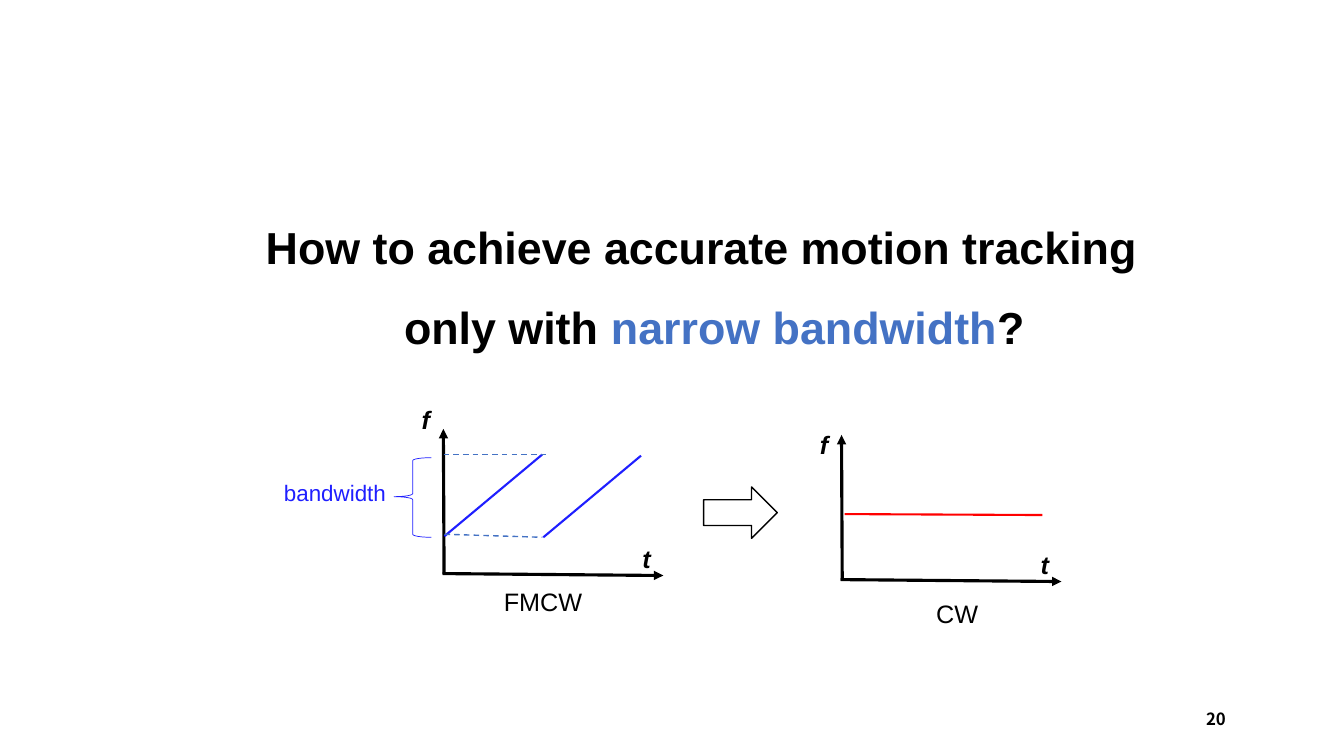
from lxml import etree
from pptx import Presentation
from pptx.dml.color import RGBColor
from pptx.enum.dml import MSO_LINE
from pptx.enum.shapes import MSO_CONNECTOR, MSO_SHAPE
from pptx.enum.text import PP_ALIGN
from pptx.oxml.ns import qn
from pptx.util import Pt

BLACK, BLUE, ACCENT, RED = "000000", "1F1FFF", "4472C4", "FF0000"

prs = Presentation()
prs.slide_width, prs.slide_height = Pt(960), Pt(540)
s = prs.slides.add_slide(prs.slide_layouts[6])
rgb = RGBColor.from_string


def add_text(paragraphs, x, y, w, h, size=18, font="Arial", bold=False,
             italic=False, align=PP_ALIGN.LEFT, spacing=1.0):
    """Add a text box; each paragraph is a list of (text, colour) runs."""
    tf = s.shapes.add_textbox(Pt(x), Pt(y), Pt(w), Pt(h)).text_frame
    tf.word_wrap = True
    for i, runs in enumerate(paragraphs):
        p = tf.add_paragraph() if i else tf.paragraphs[0]
        p.alignment, p.line_spacing = align, spacing
        for text, color in runs:
            r = p.add_run()
            r.text = text
            r.font.size, r.font.name = Pt(size), font
            r.font.bold, r.font.italic = bold, italic
            r.font.color.rgb = rgb(color)


def add_line(x1, y1, x2, y2, color, width, dashed=False, arrow=False):
    c = s.shapes.add_connector(MSO_CONNECTOR.STRAIGHT, Pt(x1), Pt(y1), Pt(x2), Pt(y2))
    c.line.color.rgb, c.line.width = rgb(color), Pt(width)
    if dashed:
        c.line.dash_style = MSO_LINE.DASH
    if arrow:
        etree.SubElement(c.line._get_or_add_ln(), qn("a:tailEnd"), type="triangle")
    etree.SubElement(c._element.spPr, qn("a:effectLst"))


add_text([[("How to achieve accurate motion tracking ", BLACK)],
          [(" only with ", BLACK), ("narrow bandwidth", ACCENT), ("?", BLACK)]],
         133.2, 133.9, 745.2, 116.6, size=32, bold=True,
         align=PP_ALIGN.CENTER, spacing=1.5)
add_text([[("20", BLACK)]], 666.7, 502.6, 216, 28.8, size=12,
         font="Noto Sans CJK SC", bold=True, align=PP_ALIGN.RIGHT)

# Axes of both plots: origin, top of the f label, caption and its position
plots = [
    (316.1, 409.7, 285.1, "FMCW", 352.8, 415.4),
    (600.5, 414, 303.1, "CW", 661.6, 424.1),
]
for x0, y0, f_top, caption, caption_x, caption_y in plots:
    add_line(x0 + 1.1, y0 + 0.7, x0 + 0.6, y0 - 103.3, BLACK, 2.25, arrow=True)
    add_line(x0, y0, x0 + 157.7, y0 + 1.4, BLACK, 2.25, arrow=True)
    add_text([[("f", BLACK)]], x0 - 22, f_top, 44.6, 30.2, bold=True, italic=True)
    add_text([[("t", BLACK)]], x0 + 135.7, y0 - 25.5, 44.6, 30.2, bold=True, italic=True)
    add_text([[(caption, BLACK)]], caption_x, caption_y, 84.2, 28.8)

# FMCW chirps and their bandwidth
for x, y in [(317.5, 383), (388.1, 383.8)]:
    add_line(x, y, x + 69.8, y - 58.3, BLUE, 1.5)
add_line(316.8, 324.7, 392.4, 324.7, ACCENT, 1, dashed=True)
add_line(317.5, 381.6, 387.4, 383.8, ACCENT, 1, dashed=True)
add_text([[("bandwidth", BLUE)]], 195.8, 338.4, 91.4, 26.6, size=16)

# CW signal
add_line(603.4, 367.2, 744.5, 367.9, RED, 1.5)

brace = s.shapes.add_shape(MSO_SHAPE.LEFT_BRACE, Pt(281.5), Pt(326.9), Pt(26.6), Pt(56.9))
brace.adjustments[0], brace.adjustments[1] = 0.08, 0.49
arrow = s.shapes.add_shape(MSO_SHAPE.RIGHT_ARROW, Pt(502.6), Pt(347.8), Pt(52.6), Pt(36.7))
for sp, color, width in [(brace, BLUE, 0.5), (arrow, BLACK, 1)]:
    sp.shadow.inherit = False
    sp.fill.background()
    sp.line.color.rgb, sp.line.width = rgb(color), Pt(width)

prs.save("out.pptx")
